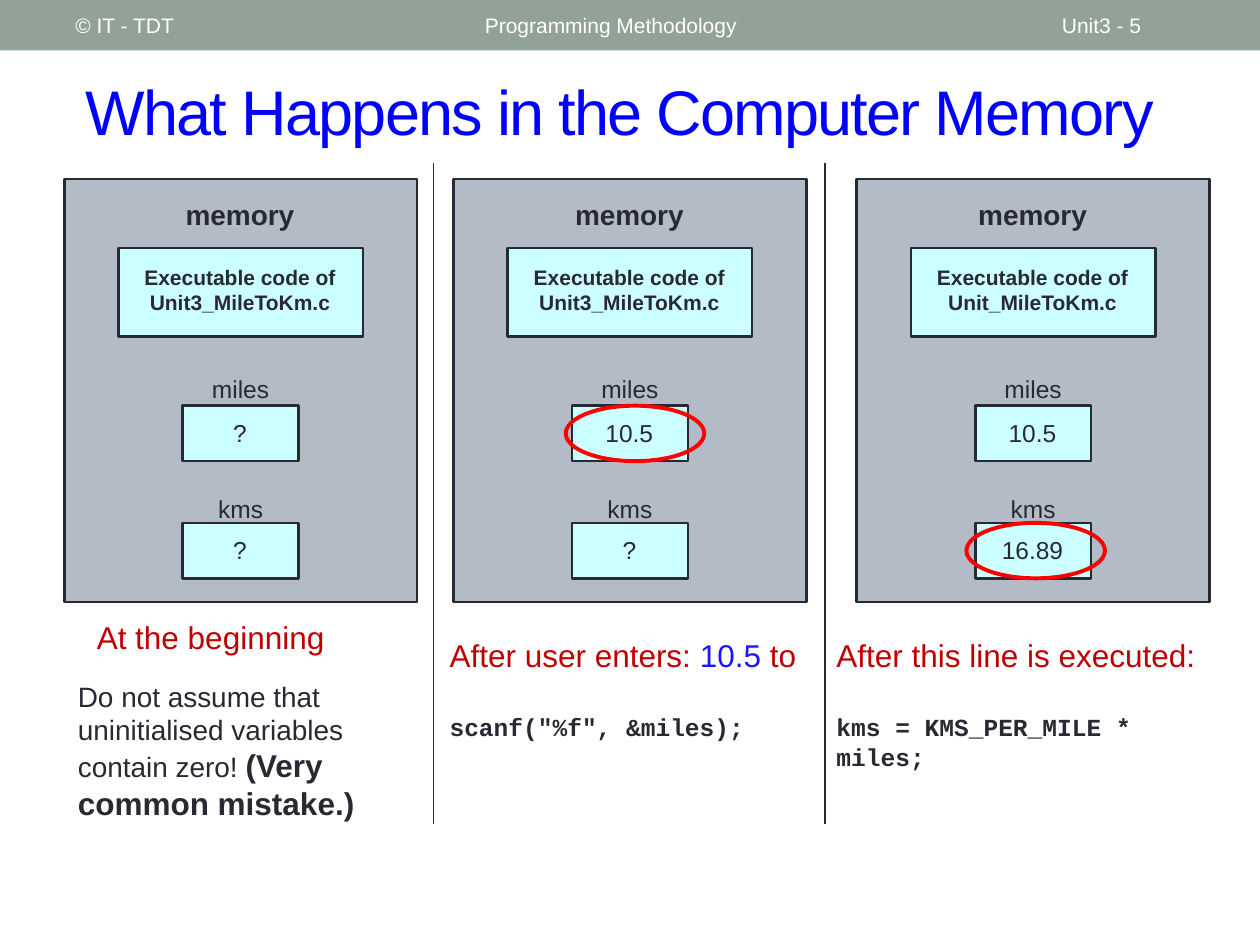
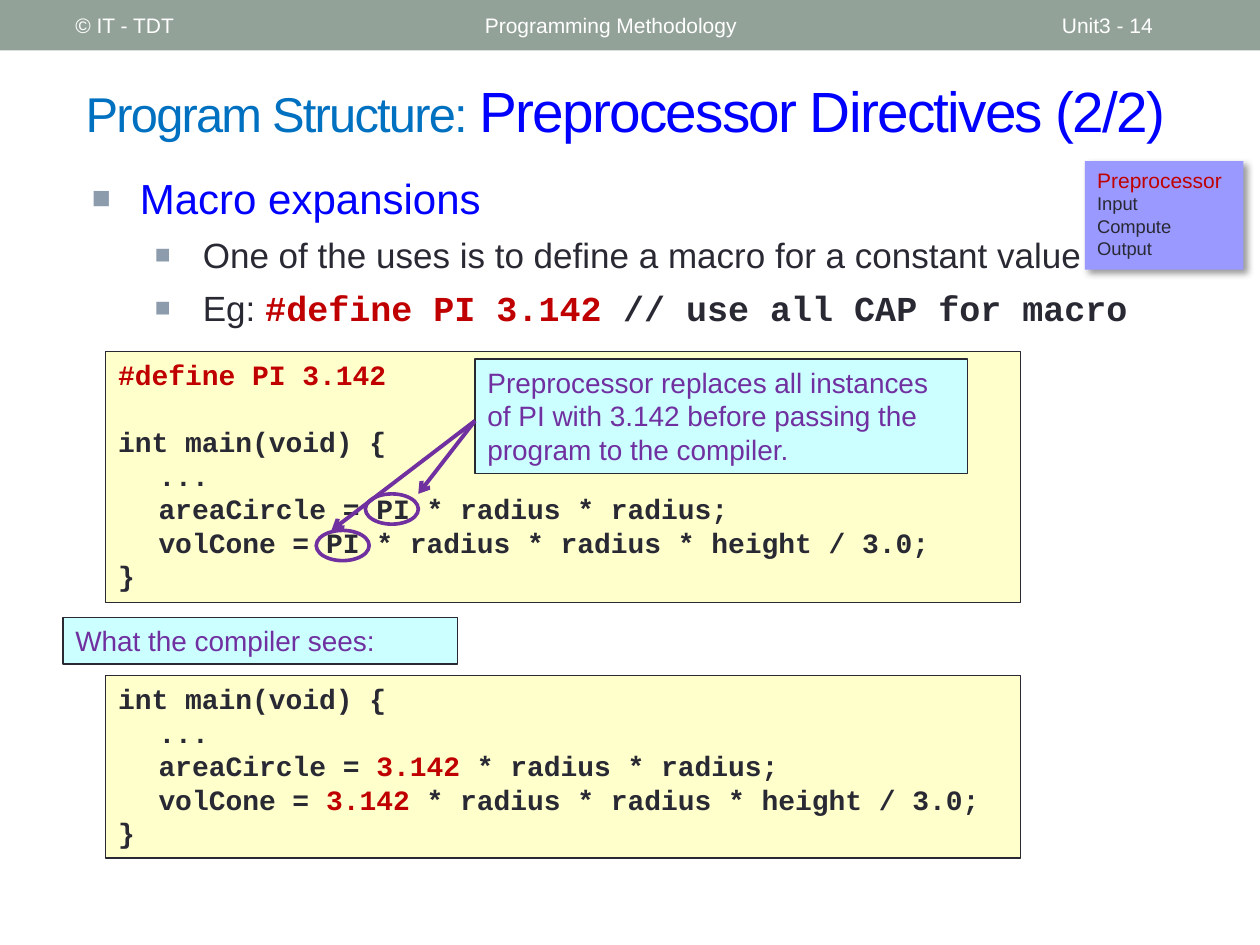
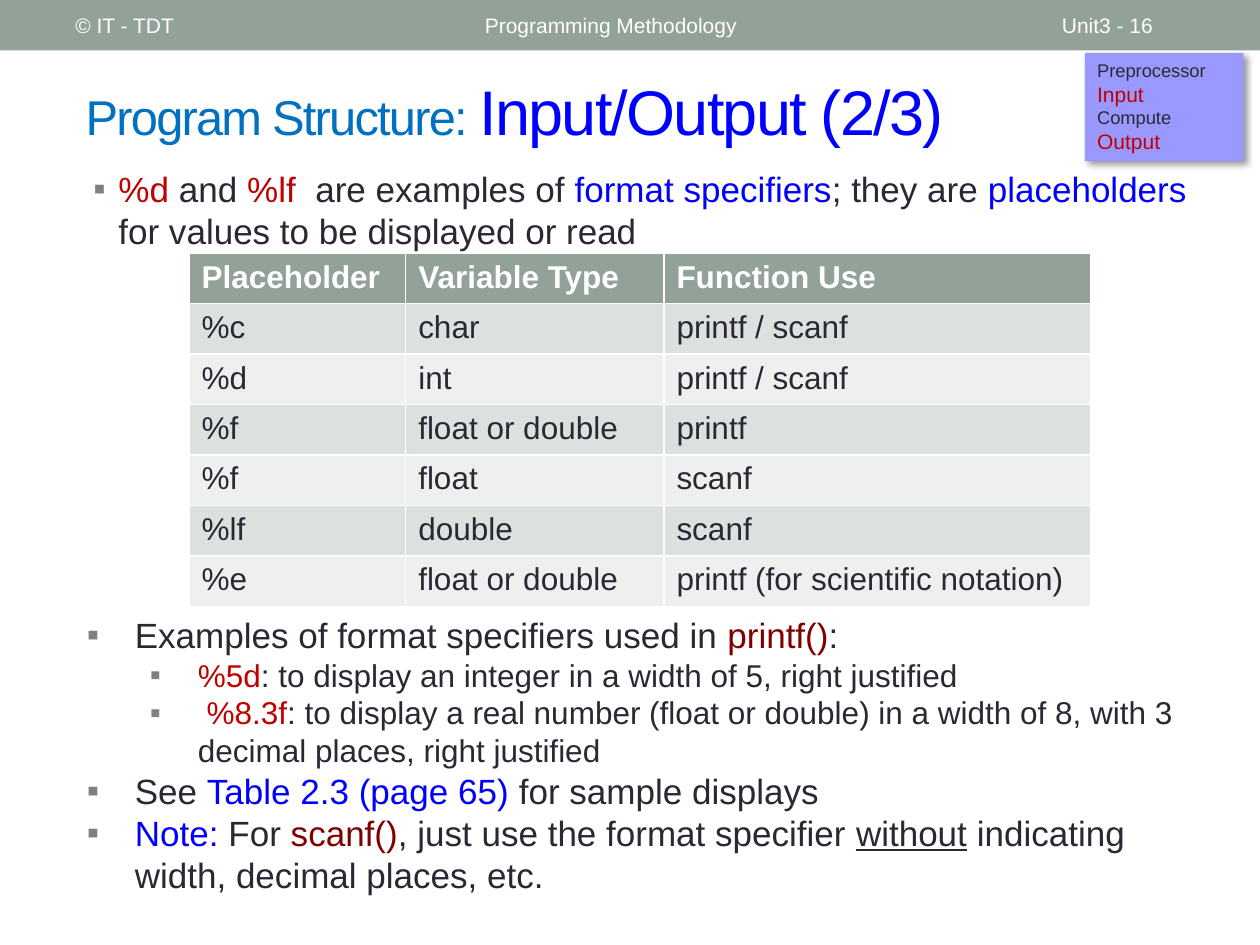
from lxml import etree
from pptx import Presentation
from pptx.dml.color import RGBColor
from pptx.enum import shapes, text
from pptx.oxml import ns
from pptx.util import Inches, Pt

INK = RGBColor(0x29, 0x29, 0x34)
WHITE = RGBColor(0xFF, 0xFF, 0xFF)
SAGE = RGBColor(0x93, 0xA2, 0x99)
BLUE = RGBColor(0x00, 0x00, 0xFF)
INPUT = RGBColor(0x18, 0x18, 0xFF)
SKY = RGBColor(0x00, 0x70, 0xC0)
RED = RGBColor(0xC0, 0x00, 0x00)
RING = RGBColor(0xFF, 0x00, 0x00)
MAROON = RGBColor(0x80, 0x00, 0x00)
PURPLE = RGBColor(0x70, 0x30, 0xA0)
SLATE = RGBColor(0xB3, 0xBB, 0xC6)
CYAN = RGBColor(0xCC, 0xFF, 0xFF)
CREAM = RGBColor(0xFF, 0xFF, 0xCC)
LILAC = RGBColor(0x99, 0x99, 0xFF)
DARK = RGBColor(0xDC, 0xE0, 0xDE)
PALE = RGBColor(0xEE, 0xF0, 0xEF)

SANS, MONO = "Arial", "Courier New"
BASE = {"size": 16, "color": INK, "font": SANS, "bold": False, "line": False}
CODE = {"font": MONO, "bold": True}
R, B, M = {"color": RED}, {"color": BLUE}, {"color": MAROON}
LEAD = ("Program Structure: ", {"size": 27.9, "color": SKY})
STEPS = ["Preprocessor", "Input", "Compute", "Output"]

MEMORY = [
    {"x": 0.51, "file": "Unit3_MileToKm.c", "vals": ("?", "?")},
    {"x": 3.6, "file": "Unit3_MileToKm.c", "vals": ("10.5", "?")},
    {"x": 6.8, "file": "Unit_MileToKm.c", "vals": ("10.5", "16.89")},
]
VARS = [("miles", 2.92, 3.22), ("kms", 3.87, 4.15)]
RINGS = [(4.49, 3.22), (7.67, 4.15)]
RULES = [3.44, 6.55]
CALLS = [
    (3.47, 3.14, [("After user enters: ", R), ("10.5 ", {"color": INPUT}), ("to", R)],
     'scanf("%f", &miles);'),
    (6.54, 3.35, [("After this line is executed:", R)],
     "kms = KMS_PER_MILE * miles;"),
]
WARNING = ["Do not assume that uninitialised variables contain zero! ",
           ("(Very common mistake.)", {"size": 18, "bold": True})]

MACROS = [
    (0, 12, [("Macro expansions", {"size": 24, "color": BLUE})]),
    (1, 6, ["One of the uses is to define a macro for a constant value"]),
    (1, 6, ["Eg: ", ("#define PI 3.142 ", {**CODE, **R}),
            ("// use all CAP for macro", CODE)]),
]
DEFINE = [("#define PI 3.142", R)]


def program(value):
    return ["int main(void) {", "...",
            ["areaCircle = ", value, " * radius * radius;"],
            ["volCone = ", value, " * radius * radius * height / 3.0;"], "}"]


SPOTS = [((2.9, 3.92), (3.32, 3.92)), ((2.51, 4.21), (2.63, 4.21))]
SOURCE = (3.77, 3.34)

INTRO = [(0, 4, [("%d ", R), "and", (" %lf  ", R), "are examples of ",
                 ("format specifiers", B), "; they are ", ("placeholders ", B),
                 "for values to be displayed or read"])]
SMALL = {"size": 18}
USES = [
    (0, 4, ["Examples of format specifiers used in ", ("printf()", M), ":"]),
    (1, 0, [("%5d", {**R, **SMALL}),
            (": to display an integer in a width of 5, right justified", SMALL)]),
    (1, 0, [(" %8.3f", {**R, **SMALL}),
            (": to display a real number (float or double) in a width of 8, "
             "with 3 decimal places, right justified", SMALL)]),
    (0, 0, ["See ", ("Table 2.3 (page 65) ", B), "for sample displays"]),
    (0, 0, [("Note: ", B), "For ", ("scanf()", M),
            ", just use the format specifier ", ("without", {"line": True}),
            " indicating width, decimal places, etc."]),
]
FORMATS = [
    ("Placeholder", "Variable Type", "Function Use"),
    ("%c", "char", "printf / scanf"),
    ("%d", "int", "printf / scanf"),
    ("%f", "float or double", "printf"),
    ("%f", "float", "scanf"),
    ("%lf", "double", "scanf"),
    ("%e", "float or double", "printf (for scientific notation)"),
]
WIDTHS = [1.72, 2.05, 3.39]


def node(parent, tag, **attrs):
    return etree.SubElement(parent, ns.qn("a:" + tag), attrs)


def put(frame, paras, align=text.PP_ALIGN.LEFT, **look):
    for i, para in enumerate(paras):
        p = frame.add_paragraph() if i else frame.paragraphs[0]
        p.alignment = align
        for piece in [para] if isinstance(para, str) else para:
            words, own = (piece, {}) if isinstance(piece, str) else piece
            style = {**BASE, **look, **own}
            run = p.add_run()
            run.text = words
            run.font.size = Pt(style["size"])
            run.font.name = style["font"]
            run.font.bold = style["bold"]
            run.font.underline = style["line"]
            run.font.color.rgb = style["color"]
    return frame.paragraphs


def place(shape, *box):
    shape.left, shape.top, shape.width, shape.height = map(Inches, box)


def label(slide, box, paras, wrap=True, middle=False, **look):
    frame = slide.shapes.add_textbox(*map(Inches, box)).text_frame
    frame.word_wrap = wrap
    if middle:
        frame.vertical_anchor = text.MSO_ANCHOR.MIDDLE
    return put(frame, paras, **look)


def draw(slide, box, fill=None, line=INK, width=1.5, kind="RECTANGLE"):
    shape = slide.shapes.add_shape(shapes.MSO_SHAPE[kind], *map(Inches, box))
    shape.shadow.inherit = False
    if fill is None:
        shape.fill.background()
    else:
        shape.fill.solid()
        shape.fill.fore_color.rgb = fill
    if line is None:
        shape.line.fill.background()
    else:
        shape.line.color.rgb = line
        shape.line.width = Pt(width)
    frame = shape.text_frame
    frame.word_wrap = True
    frame.vertical_anchor = text.MSO_ANCHOR.TOP
    return shape


def link(slide, start, end, color, width, arrow=False):
    line = slide.shapes.add_connector(
        shapes.MSO_CONNECTOR.STRAIGHT, *map(Inches, start + end))
    line.line.color.rgb = color
    line.line.width = Pt(width)
    if arrow:
        node(line.line._get_or_add_ln(), "tailEnd", type="arrow")
    node(line._element.spPr, "effectLst")


def bullets(holder, box, items, mark, tint, scale=100, hang=0.38):
    place(holder, *box)
    frame = holder.text_frame
    frame.auto_size = text.MSO_AUTO_SIZE.NONE
    paras = put(frame, [item[2] for item in items], size=20)
    for p, (level, gap, _) in zip(paras, items):
        p.level = level
        p.space_before = Pt(gap)
        props = p._p.get_or_add_pPr()
        props.set("marL", str(Inches(hang + level * 0.5)))
        props.set("indent", str(-Inches(hang)))
        node(node(props, "buClr"), "srgbClr", val=tint)
        node(props, "buSzPct", val=str(scale * 1000))
        node(props, "buFont", typeface=SANS)
        node(props, "buChar", char=mark)


def start(deck, layout, number, title, width=8.92):
    slide = deck.slides.add_slide(deck.slide_layouts[layout])
    draw(slide, (0, 0, 10, 0.4), SAGE, None)
    for x, w, words in [(0.5, 3.17, "© IT - TDT"),
                        (3.75, 4.5, "Programming Methodology"),
                        (8.33, 1.17, f"Unit3 - {number}")]:
        label(slide, (x, 0.02, w, 0.36), [words], middle=True, size=12, color=WHITE)
    head = slide.shapes.title
    place(head, 0.58, 0.5, width, 0.75)
    frame = head.text_frame
    frame.auto_size = text.MSO_AUTO_SIZE.NONE
    frame.vertical_anchor = text.MSO_ANCHOR.MIDDLE
    put(frame, [title], size=36, color=BLUE)
    for run in frame.paragraphs[0].runs:
        run.font._element.set("spc", "-100")
    return slide


def tracker(slide, top, active):
    card = draw(slide, (8.61, top, 1.26, 0.86), LILAC, None)
    cast = node(card._element.spPr.find(ns.qn("a:effectLst")), "outerShdw",
                blurRad=str(Pt(4)), dist=str(Pt(3)), dir="2700000", algn="tl")
    node(node(cast, "srgbClr", val="000000"), "alpha", val="40000")
    put(card.text_frame,
        [[(s, {"size": 12, "color": RED} if s in active else {})] for s in STEPS],
        size=10.5)


def listing(slide, top, height, lines):
    box = draw(slide, (0.84, top, 7.26, height), CREAM, width=0.75)
    paras = put(box.text_frame, lines, **CODE)
    for p in paras[-4:-1]:
        p._p.get_or_add_pPr().set("marL", str(Inches(0.32)))
    return paras


def note(slide, box, words):
    put(draw(slide, box, CYAN, width=0.75).text_frame, [words], color=PURPLE)


def memory(deck):
    slide = start(deck, 5, 5, "What Happens in the Computer Memory")
    mid = text.PP_ALIGN.CENTER
    for col in MEMORY:
        x = col["x"]
        draw(slide, (x, 1.42, 2.8, 3.36), SLATE)
        label(slide, (x + 0.84, 1.52, 1.11, 0.37), ["memory"], align=mid, bold=True)
        draw(slide, (x + 0.43, 1.97, 1.94, 0.7), CYAN)
        label(slide, (x + 0.52, 2.05, 1.75, 0.5), ["Executable code of " + col["file"]],
              align=mid, size=12, bold=True)
        for (name, high, top), val in zip(VARS, col["vals"]):
            draw(slide, (x + 0.94, top, 0.92, 0.44), CYAN)
            label(slide, (x + 1.07, high, 0.66, 0.34), [name], wrap=False,
                  align=mid, size=14)
            label(slide, (x + 1.01, top + 0.05, 0.77, 0.34), [val], align=mid, size=14)
    for x, y in RINGS:
        draw(slide, (x, y, 1.1, 0.44), line=RING, width=2.25, kind="OVAL")
    for x in RULES:
        link(slide, (x, 1.29), (x, 6.54), INK, 1)
    label(slide, (0.67, 4.86, 2.03, 0.4), ["At the beginning"], wrap=False,
          size=18, color=RED)
    label(slide, (0.52, 5.34, 2.56, 1.25), [WARNING])
    for x, w, head, code in CALLS:
        paras = label(slide, (x, 5, w, 0.96), [head, [(code, {**CODE, "size": 14})]],
                      size=18)
        paras[1].space_before = Pt(22)


def macros(deck):
    title = [LEAD, ("Preprocessor Directives (2/2)", {"size": 32.4})]
    slide = start(deck, 1, 14, title, 9.29)
    bullets(slide.placeholders[1], (0.63, 1.32, 9.15, 5.21), MACROS, "■", "8C9CAD", 75)
    paras = listing(slide, 2.79, 1.99, [DEFINE] + program("PI"))
    paras[1].space_before = Pt(19)
    note(slide, (3.77, 2.85, 3.91, 0.91),
         "Preprocessor replaces all instances of PI with 3.142 "
         "before passing the program to the compiler.")
    for spot, tip in SPOTS:
        draw(slide, spot + (0.42, 0.24), line=PURPLE, width=2.08, kind="OVAL")
        link(slide, SOURCE, tip, PURPLE, 2.25, arrow=True)
    listing(slide, 5.36, 1.45, program(("3.142", R)))
    note(slide, (0.5, 4.9, 3.13, 0.37), "What the compiler sees:")
    tracker(slide, 1.28, ["Preprocessor"])


def formats(deck):
    slide = start(deck, 3, 16, [LEAD, "Input/Output (2/3)"])
    bullets(slide.placeholders[1], (0.64, 1.28, 9, 0.78), INTRO, "▪", "808080", hang=0.2)
    bullets(slide.placeholders[2], (0.59, 4.82, 9, 2.25), USES, "▪", "808080")
    grid = slide.shapes.add_table(
        len(FORMATS), len(WIDTHS), Inches(1.5), Inches(2.01),
        Inches(sum(WIDTHS)), Inches(0.38 * len(FORMATS))).table
    for col, w in zip(grid.columns, WIDTHS):
        col.width = Inches(w)
    for r, row in enumerate(FORMATS):
        for c, words in enumerate(row):
            cell = grid.cell(r, c)
            cell.fill.solid()
            cell.fill.fore_color.rgb = (DARK if r % 2 else PALE) if r else SAGE
            put(cell.text_frame, [words], size=18, bold=not r,
                color=INK if r else WHITE)
    tracker(slide, 0.42, ["Input", "Output"])


def main():
    deck = Presentation()
    deck.slide_width, deck.slide_height = Inches(10), Inches(7.5)
    memory(deck)
    macros(deck)
    formats(deck)
    deck.save("out.pptx")


if __name__ == "__main__":
    main()
